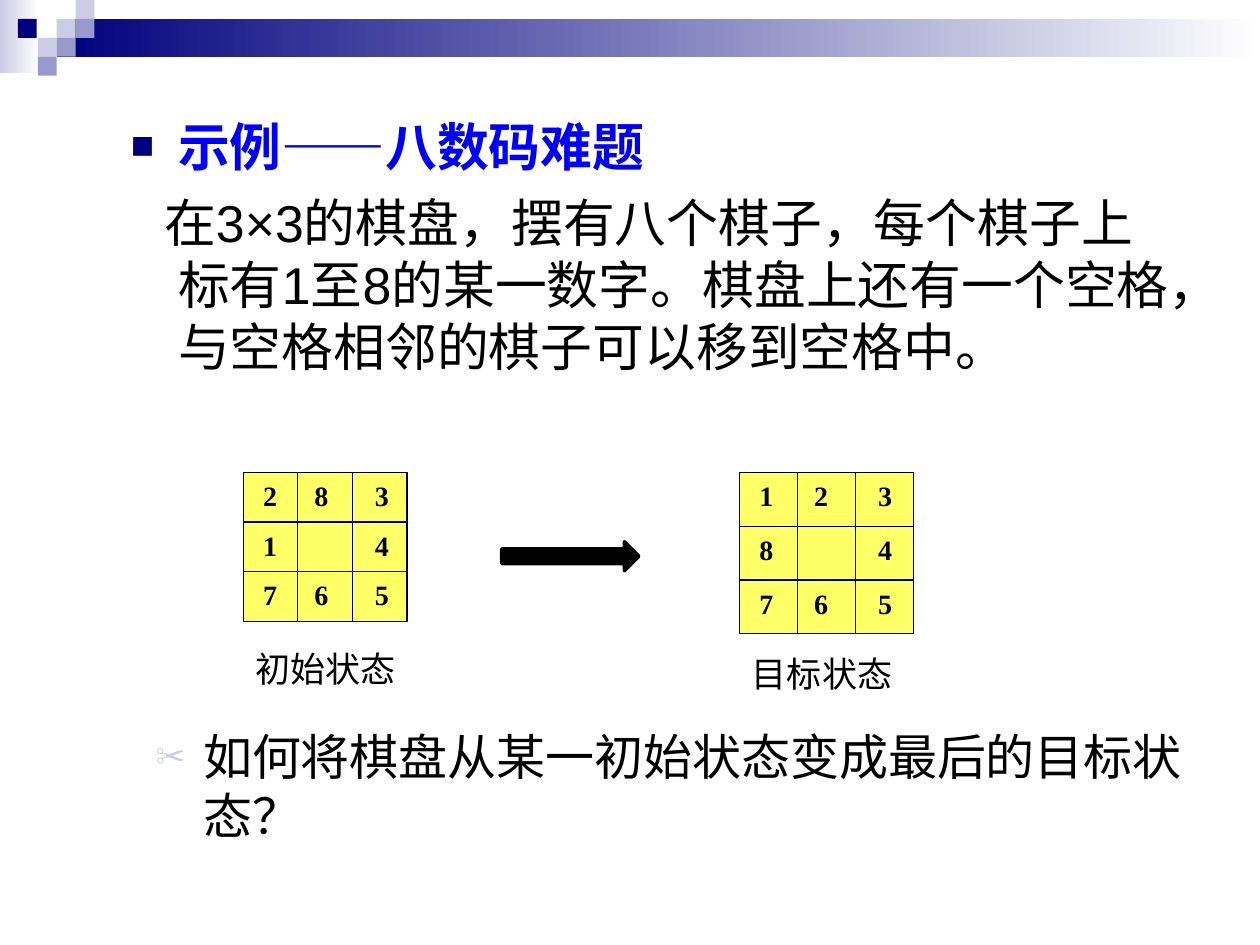
from lxml.etree import SubElement
from pptx import Presentation
from pptx.dml.color import RGBColor
from pptx.enum.shapes import MSO_CONNECTOR, MSO_SHAPE
from pptx.oxml.ns import qn
from pptx.util import Pt

BLACK = RGBColor(0x00, 0x00, 0x00)
WHITE = RGBColor(0xFF, 0xFF, 0xFF)
BLUE = RGBColor(0x00, 0x00, 0xFF)
NAVY = RGBColor(0x00, 0x00, 0x7D)
GRID_BLUE = RGBColor(0x00, 0x00, 0x66)
LAVENDER = RGBColor(0xCC, 0xCC, 0xE6)
PERIWINKLE = RGBColor(0x99, 0x99, 0xCC)
YELLOW = RGBColor(0xFF, 0xFF, 0x66)

presentation = Presentation()
presentation.slide_width, presentation.slide_height = Pt(720), Pt(540)
slide = presentation.slides.add_slide(presentation.slide_layouts[6])


def add_block(left, top, width, height, color, kind=MSO_SHAPE.RECTANGLE, fade=False, line=None, line_width=0.75):
    shape = slide.shapes.add_shape(kind, Pt(left), Pt(top), Pt(width), Pt(height))
    shape.shadow.inherit = False
    if fade:
        shape.fill.gradient()
        shape.fill.gradient_angle = 0
        for stop, stop_color, position in zip(shape.fill.gradient_stops, (color, WHITE), (0, 1)):
            stop.color.rgb = stop_color
            stop.position = position
    else:
        shape.fill.solid()
        shape.fill.fore_color.rgb = color
    if line is None:
        shape.line.fill.background()
    else:
        shape.line.color.rgb = line
        shape.line.width = Pt(line_width)


def add_text(text, frame, size, font="Arial", color=BLACK, bold=False, before=0,
             margin=0, indent=0, bullet=None, bullet_color=None, bullet_size=100):
    paragraph = frame.paragraphs[0] if not frame.text else frame.add_paragraph()
    paragraph.space_before = Pt(before)
    properties = paragraph._p.get_or_add_pPr()
    properties.set("marL", str(Pt(margin)))
    properties.set("indent", str(Pt(indent)))
    if bullet:
        color_element = SubElement(properties, qn("a:buClr"))
        SubElement(color_element, qn("a:srgbClr"), val=str(bullet_color))
        SubElement(properties, qn("a:buSzPct"), val=str(bullet_size * 1000))
        SubElement(properties, qn("a:buFont"), typeface="Arial")
        SubElement(properties, qn("a:buChar"), char=bullet)
    run = paragraph.add_run()
    run.text = text
    run.font.name = font
    run.font.size = Pt(size)
    run.font.bold = bold
    run.font.color.rgb = color


add_block(0, 0, 22.3, 41.8, LAVENDER, fade=True)
add_block(32.4, 10.8, 687.6, 21.6, NAVY, fade=True)
SQUARE = 10.8
for column, row, color in [(3, 1, LAVENDER), (4, 0, LAVENDER), (4, 1, PERIWINKLE), (2, 2, LAVENDER),
                           (0.94, 1, NAVY), (3, 2, PERIWINKLE), (2, 3, PERIWINKLE)]:
    add_block(column * SQUARE, row * SQUARE, SQUARE, SQUARE, color)

body = slide.shapes.add_textbox(Pt(67.7), Pt(61.9), Pt(612), Pt(175.7)).text_frame
body.word_wrap = True
add_text("示例——八数码难题", body, 29.6, color=BLUE, bold=True, before=8, margin=27, indent=-27,
         bullet="■", bullet_color=NAVY, bullet_size=75)
add_text("在3×3的棋盘，摆有八个棋子，每个棋子上标有1至8的某一数字。棋盘上还有一个空格，与空格相邻的棋子可以移到空格中。",
         body, 29.6, before=8, margin=27, indent=-8)

add_block(286.6, 309.6, 78.5, 16.6, BLACK, kind=MSO_SHAPE.RIGHT_ARROW, line=BLACK, line_width=2)

BOARD_TOP = 270
DIGIT_OFFSETS = (4.3, 2.4, 5.8)
boards = [
    (139, 93.6, 85, 366.5, "初始状态", ("283", "1 4", "765")),
    (422.6, 99.4, 92.2, 369.4, "目标状态", ("123", "8 4", "765")),
]
for left, width, height, caption_top, caption, rows in boards:
    add_block(left, BOARD_TOP, width, height, YELLOW, line=BLACK)
    cell_width, cell_height = width / 3, height / 3
    right, bottom = left + width, BOARD_TOP + height
    for step in (1, 2):
        x, y = left + step * cell_width, BOARD_TOP + step * cell_height
        for ends in ((left, y, right, y), (x, BOARD_TOP, x, bottom)):
            connector = slide.shapes.add_connector(MSO_CONNECTOR.STRAIGHT, *[Pt(end) for end in ends])
            connector.line.color.rgb = GRID_BLUE
            connector.line.width = Pt(0.75)
            SubElement(connector._element.spPr, qn("a:effectLst"))
    for row, digits in enumerate(rows):
        for column, digit in enumerate(digits):
            if digit != " ":
                box = slide.shapes.add_textbox(Pt(left + column * cell_width + DIGIT_OFFSETS[column]),
                                               Pt(BOARD_TOP + row * cell_height), Pt(22.4), Pt(26.6))
                box.text_frame.word_wrap = False
                add_text(digit, box.text_frame, 16, font="Times New Roman", bold=True)
    caption_box = slide.shapes.add_textbox(Pt(left), Pt(caption_top), Pt(102.2), Pt(31.7))
    caption_box.text_frame.word_wrap = True
    add_text(caption, caption_box.text_frame, 20, before=12.5)

question = slide.shapes.add_textbox(Pt(82), Pt(411.8), Pt(612), Pt(108)).text_frame
question.word_wrap = True
add_text("如何将棋盘从某一初始状态变成最后的目标状态？", question, 28, font="Times New Roman", before=7,
         margin=27, indent=-27, bullet="✂", bullet_color=LAVENDER, bullet_size=60)

presentation.save("out.pptx")
